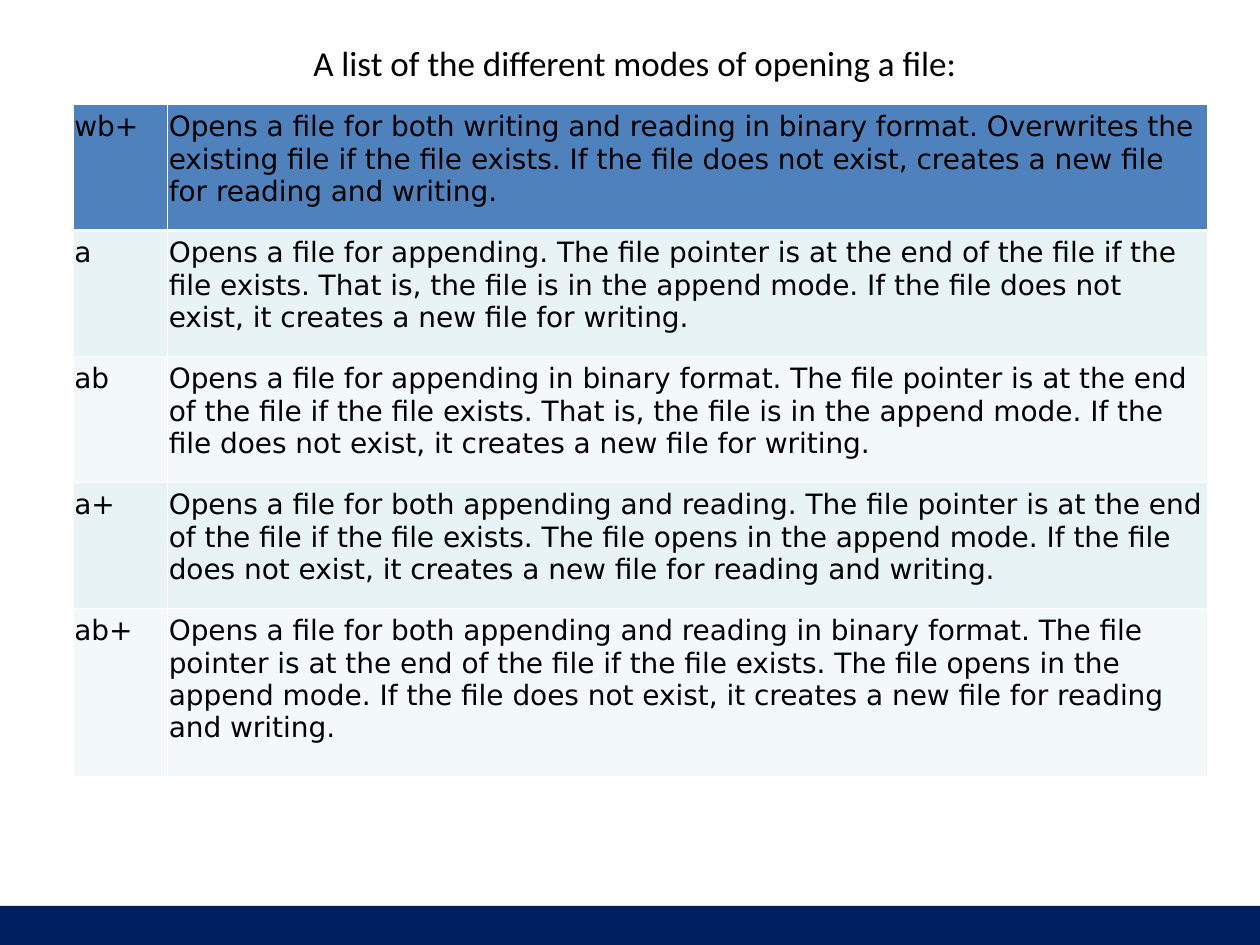
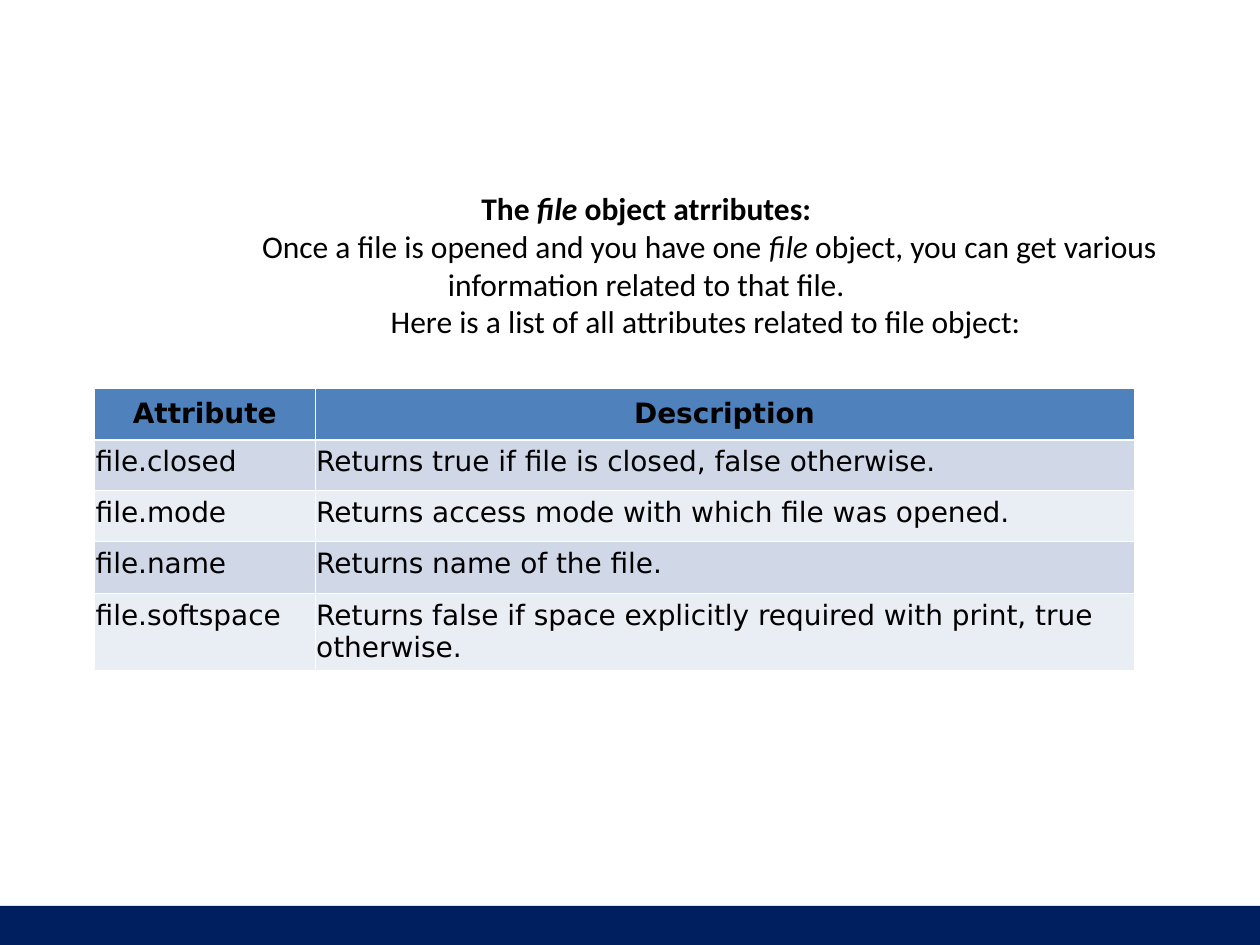
"""Build two slides on file opening modes and file object attributes."""
import pptx
import pptx.dml.color
import pptx.enum.shapes
import pptx.enum.text
import pptx.oxml
import pptx.oxml.ns
import pptx.util

Inches, Pt = pptx.util.Inches, pptx.util.Pt
ALIGN, ANCHOR = pptx.enum.text.PP_ALIGN, pptx.enum.text.MSO_ANCHOR
NAVY, BLUE, WHITE, BLACK = "001F5F", "4F81BD", "FFFFFF", "000000"
THIN, THICK = 0.45, 1.47

PAGES = [
    {
        "title_at": (0.5, 0.33, 9.08, 6.83),
        "title_size": 20,
        "title": [[("A list of the different modes of opening a file:", {})]],
        "table_at": (0.58, 0.83),
        "columns": (0.75, 8.25),
        "heights": (1, 1, 1, 1, 1.33),
        "bands": ("E7F3F4", "F3F9FA"),
        "heading": False,
        "rows": [
            ("wb+", "Opens a file for both writing and reading in binary format. "
             "Overwrites the existing file if the file exists. If the file does "
             "not exist, creates a new file for reading and writing."),
            ("a", "Opens a file for appending. The file pointer is at the end of "
             "the file if the file exists. That is, the file is in the append "
             "mode. If the file does not exist, it creates a new file for writing."),
            ("ab", "Opens a file for appending in binary format. The file pointer "
             "is at the end of the file if the file exists. That is, the file is "
             "in the append mode. If the file does not exist, it creates a new "
             "file for writing."),
            ("a+", "Opens a file for both appending and reading. The file pointer "
             "is at the end of the file if the file exists. The file opens in the "
             "append mode. If the file does not exist, it creates a new file for "
             "reading and writing."),
            ("ab+", "Opens a file for both appending and reading in binary format. "
             "The file pointer is at the end of the file if the file exists. The "
             "file opens in the append mode. If the file does not exist, it "
             "creates a new file for reading and writing."),
        ],
    },
    {
        "title_at": (0.67, 1.5, 8.92, 5.75),
        "title_size": 18,
        "title": [
            [("The ", {"bold": True}), ("file", {"bold": True, "italic": True}),
             (" object atrributes:", {"bold": True})],
            [("\tOnce a file is opened and you have one ", {}),
             ("file", {"italic": True}),
             (" object, you can get various information related to that file.", {})],
            [("\tHere is a list of all attributes related to file object: ", {})],
        ],
        "table_at": (0.75, 3.08),
        "columns": (1.75, 6.5),
        "heights": (0.41, 0.4, 0.41, 0.41, 0.54),
        "bands": ("D0D8E8", "E9EDF4"),
        "heading": True,
        "rows": [
            ("Attribute", "Description"),
            ("file.closed", "Returns true if file is closed, false otherwise."),
            ("file.mode", "Returns access mode with which file was opened."),
            ("file.name", "Returns name of the file."),
            ("file.softspace", "Returns false if space explicitly required with "
             "print, true otherwise."),
        ],
    },
]


def colour(value):
    """Turn a hex string into a colour."""
    return pptx.dml.color.RGBColor.from_string(value)


def apply(target, values):
    """Set each attribute named in values."""
    for name, value in values.items():
        setattr(target, name, value)


def add_span(para, text, font, size, **extra):
    """Add a run of black text."""
    span = para.add_run()
    span.text = text
    apply(span.font, {"name": font, "size": Pt(size), "bold": False,
                      "italic": False, **extra})
    span.font.color.rgb = colour(BLACK)


def add_tabs(para):
    """Give a paragraph a left tab stop at every inch."""
    stops = "".join(f'<a:tab pos="{Inches(inch)}" algn="l"/>' for inch in range(8))
    para._p.get_or_add_pPr().append(pptx.oxml.parse_xml(
        f'<a:tabLst {pptx.oxml.ns.nsdecls("a")}>{stops}</a:tabLst>'))


def add_band(page, deck):
    """Draw the navy band along the bottom."""
    top = Inches(7.19)
    band = page.shapes.add_shape(pptx.enum.shapes.MSO_SHAPE.RECTANGLE, 0, top,
                                 deck.slide_width, deck.slide_height - top)
    band.shadow.inherit = False
    band.fill.solid()
    band.fill.fore_color.rgb = colour(NAVY)
    band.line.fill.background()


def fill_title(box, content):
    """Place the title and write its paragraphs."""
    places = map(Inches, content["title_at"])
    apply(box, dict(zip(("left", "top", "width", "height"), places)))
    frame = box.text_frame
    apply(frame, {"word_wrap": True, "vertical_anchor": ANCHOR.TOP,
                  "auto_size": pptx.enum.text.MSO_AUTO_SIZE.NONE,
                  "margin_left": 0, "margin_top": 0,
                  "margin_right": 0, "margin_bottom": 0})
    for index, spans in enumerate(content["title"]):
        para = frame.add_paragraph() if index else frame.paragraphs[0]
        para.alignment = ALIGN.CENTER
        add_tabs(para)
        for text, extra in spans:
            add_span(para, text, "Calibri", content["title_size"], **extra)


def add_borders(cell, row):
    """Draw white cell borders, thicker below the first row."""
    widths = {"L": THIN, "R": THIN, "T": THICK if row == 1 else THIN,
              "B": THICK if row == 0 else THIN}
    for side, width in widths.items():
        cell._tc.get_or_add_tcPr().append(pptx.oxml.parse_xml(
            f'<a:ln{side} {pptx.oxml.ns.nsdecls("a")} w="{Pt(width)}"><a:solidFill>'
            f'<a:srgbClr val="{WHITE}"/></a:solidFill></a:ln{side}>'))


def add_grid(page, content):
    """Add the table with its banded rows."""
    rows, columns, heights = (content[key] for key in ("rows", "columns", "heights"))
    left, top = content["table_at"]
    table = page.shapes.add_table(len(rows), len(columns), Inches(left), Inches(top),
                                  Inches(sum(columns)), Inches(sum(heights))).table
    apply(table, {"first_row": False, "horz_banding": False})
    for column, width in zip(table.columns, columns):
        column.width = Inches(width)
    for row, (texts, height) in enumerate(zip(rows, heights)):
        table.rows[row].height = Inches(height)
        heading = content["heading"] and row == 0
        for column, text in enumerate(texts):
            cell = table.cell(row, column)
            apply(cell, {"margin_left": Inches(0.01), "margin_right": Inches(0.01),
                         "margin_top": Inches(0.05), "margin_bottom": Inches(0.05),
                         "vertical_anchor": ANCHOR.MIDDLE if heading else ANCHOR.TOP})
            add_borders(cell, row)
            cell.fill.solid()
            shade = content["bands"][(row - 1) % 2] if row else BLUE
            cell.fill.fore_color.rgb = colour(shade)
            para = cell.text_frame.paragraphs[0]
            para.alignment = ALIGN.CENTER if heading else ALIGN.LEFT
            add_span(para, text, "DejaVu Sans", 16, bold=heading)


def main():
    """Build and save the deck."""
    deck = pptx.Presentation()
    apply(deck, {"slide_width": Inches(10), "slide_height": Inches(7.5)})
    for content in PAGES:
        page = deck.slides.add_slide(deck.slide_layouts[5])
        fill_title(page.shapes.title, content)
        add_band(page, deck)
        add_grid(page, content)
    deck.save("out.pptx")


if __name__ == "__main__":
    main()
